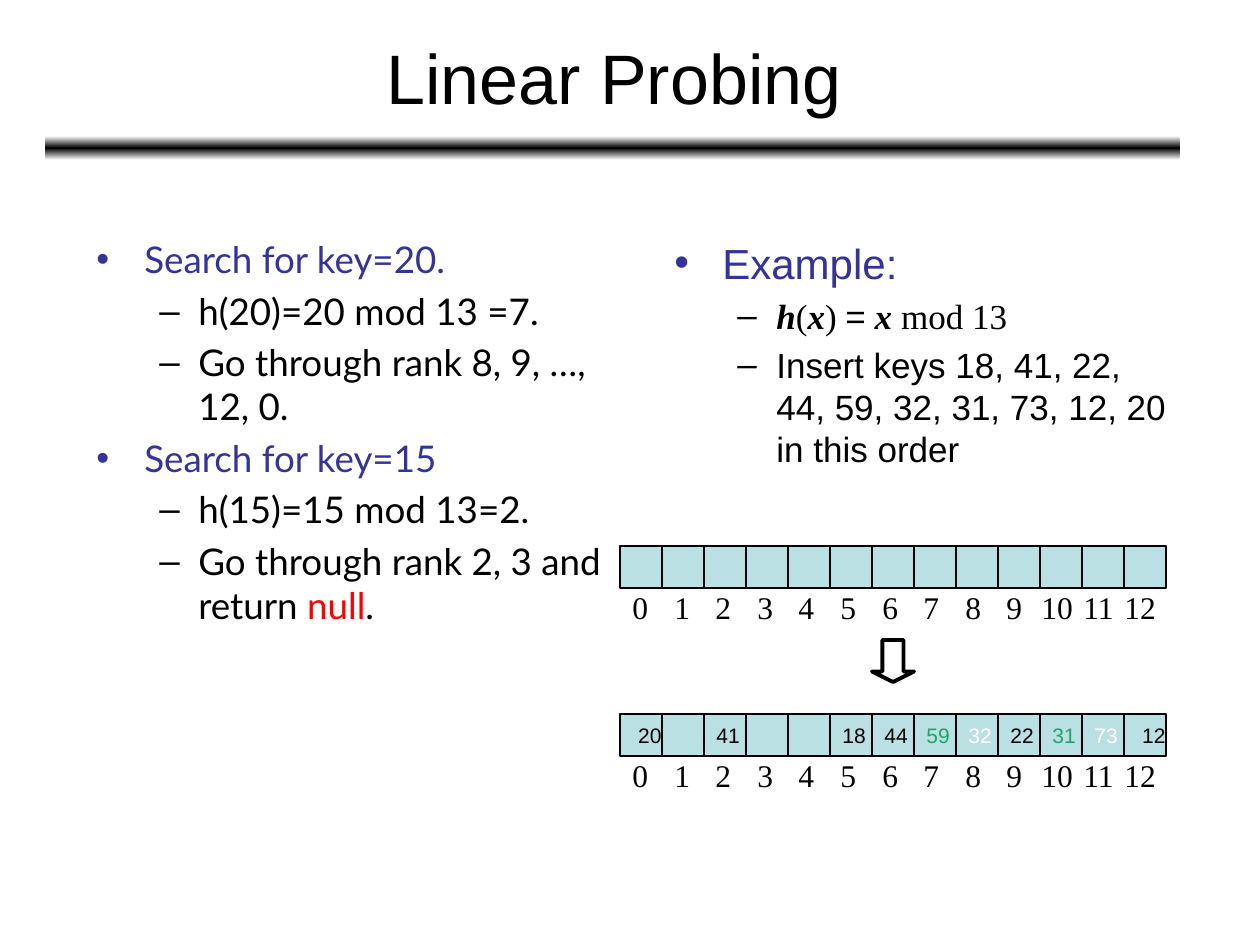
from copy import deepcopy
from lxml.etree import SubElement
from pptx import Presentation
from pptx.dml.color import RGBColor
from pptx.enum.shapes import MSO_SHAPE as Kind
from pptx.enum.text import MSO_ANCHOR as Anchor, MSO_AUTO_SIZE as Fit, PP_ALIGN as Align
from pptx.oxml.ns import qn
from pptx.util import Pt

PX = 914400 // 126
HUE = {"ink": "000000", "head": "333399", "red": "FF0000", "cell": "BBE0E3",
       "green": "1EA467", "white": "FFFFFF"}
SANS, BODY, SERIF = "Arial", "Lato", "Times New Roman"

# Each paragraph: level, size, runs of (text, font, colour, bold italic)
SEARCH = [
    (0, 21, [("Search for key=20.", BODY, "head", False)]),
    (1, 21, [("h(20)=20 mod 13 =7.", BODY, "ink", False)]),
    (1, 21, [("Go through rank 8, 9, …, 12, 0.", BODY, "ink", False)]),
    (0, 21, [("Search for key=15", BODY, "head", False)]),
    (1, 21, [("h(15)=15 mod 13=2.", BODY, "ink", False)]),
    (1, 21, [("Go through rank 2, 3 and return ", BODY, "ink", False),
             ("null", BODY, "red", False), (".", BODY, "ink", False)]),
]
EXAMPLE = [
    (0, 24, [("Example:", SANS, "head", False)]),
    (1, 20, [("h", SERIF, "ink", True), ("(", SERIF, "ink", False),
             ("x", SERIF, "ink", True), (") ", SERIF, "ink", False),
             ("=", SANS, "ink", False), (" x ", SERIF, "ink", True),
             ("mod 13", SERIF, "ink", False)]),
    (1, 20, [("Insert keys 18, 41, 22, 44, 59, 32, 31, 73, 12, 20 in this order",
              SANS, "ink", False)]),
]
SLOTS = 13
KEYS = {0: " 20", 2: "41", 5: "18", 6: "44", 7: "59", 8: "32", 9: "22",
        10: "31", 11: "73", 12: " 12"}
TINTS = {7: "green", 8: "white", 10: "green", 11: "white"}
ROWS = [(546, {}), (714, KEYS)]  # top, keys held
LEFT, SIDE = 620, 42
INDENT = [(48, -48, "•"), (102, -39, "–")]  # margin, hanging indent, bullet

deck = Presentation()
deck.slide_width, deck.slide_height = 1260 * PX, 945 * PX
slide = deck.slides.add_slide(deck.slide_layouts[6])
shapes = slide.shapes


def rgb(name):
    return RGBColor.from_string(HUE[name])


def style(run, size, face, tint="ink", strong=False):
    font = run.font
    font.size, font.name, font.color.rgb = Pt(size), face, rgb(tint)
    font.bold = font.italic = strong


def add_box(x, y, w, h, wrap=True):
    frame = shapes.add_textbox(x * PX, y * PX, w * PX, h * PX).text_frame
    frame.word_wrap = wrap
    return frame


def add_shape(kind, x, y, w, h):
    shape = shapes.add_shape(kind, x * PX, y * PX, w * PX, h * PX)
    shape.shadow.inherit = False
    return shape


def outline(shape, width):
    shape.line.color.rgb, shape.line.width = rgb("ink"), Pt(width)


def add_line(frame, text, size, face, tint="ink", align=Align.LEFT):
    para = frame.paragraphs[0]
    para.text, para.alignment = text, align
    style(para.runs[0], size, face, tint)


def add_list(items, *place):
    frame = add_box(*place)
    for i, (level, size, runs) in enumerate(items):
        para = frame.add_paragraph() if i else frame.paragraphs[0]
        para.level, para.space_before = level, Pt(size * 0.2)
        margin, hang, mark = INDENT[level]
        props = para._p.get_or_add_pPr()
        props.set("marL", str(margin * PX))
        props.set("indent", str(hang * PX))
        SubElement(props, qn("a:buFont"), typeface=SANS)
        SubElement(props, qn("a:buChar"), char=mark)
        for text, face, tint, strong in runs:
            run = para.add_run()
            run.text = text
            style(run, size, face, tint, strong)


def add_row(top, keys):
    """Draw the hash table's cells, then the ranks below them."""
    for i in range(SLOTS):
        cell = add_shape(Kind.RECTANGLE, LEFT + i * SIDE, top, SIDE, SIDE)
        cell.fill.solid()
        cell.fill.fore_color.rgb = rgb("cell")
        outline(cell, 1.5)
        if i in keys:
            frame = cell.text_frame
            frame.word_wrap, frame.vertical_anchor = False, Anchor.MIDDLE
            add_line(frame, keys[i], 12, SANS, TINTS.get(i, "ink"))
    for i in range(SLOTS):
        wide = 57 if i > 9 else 42
        mid = LEFT + SIDE // 2 + round(i * 41.6)
        frame = add_box(mid - wide // 2, top + 36, wide, 50, wrap=False)
        frame.auto_size = Fit.SHAPE_TO_FIT_TEXT
        add_line(frame, str(i), 18, SERIF)


rule = add_shape(Kind.ROUNDED_RECTANGLE, 45, 136, 1135, 24)
rule.line.fill.background()
rule.fill.gradient()
rule.fill.gradient_angle = 90
first = rule.fill._fill._gradFill.gsLst[0]
first.addnext(deepcopy(first))
for stop, (spot, tint) in zip(rule.fill.gradient_stops,
                              [(0, "white"), (0.5, "ink"), (1, "white")]):
    stop.position, stop.color.rgb = spot, rgb(tint)

title = add_box(47, 14, 1134, 125)
title.vertical_anchor = Anchor.MIDDLE
add_line(title, "Linear Probing", 40, SANS, align=Align.CENTER)
add_list(SEARCH, 84, 231, 567, 630)
add_list(EXAMPLE, 662, 231, 525, 305)
for top, keys in ROWS:
    add_row(top, keys)
arrow = add_shape(Kind.DOWN_ARROW, 872, 640, SIDE, SIDE)
arrow.adjustments[0], arrow.adjustments[1] = 0.5, 0.25
arrow.fill.background()
outline(arrow, 2.25)

deck.save("out.pptx")
